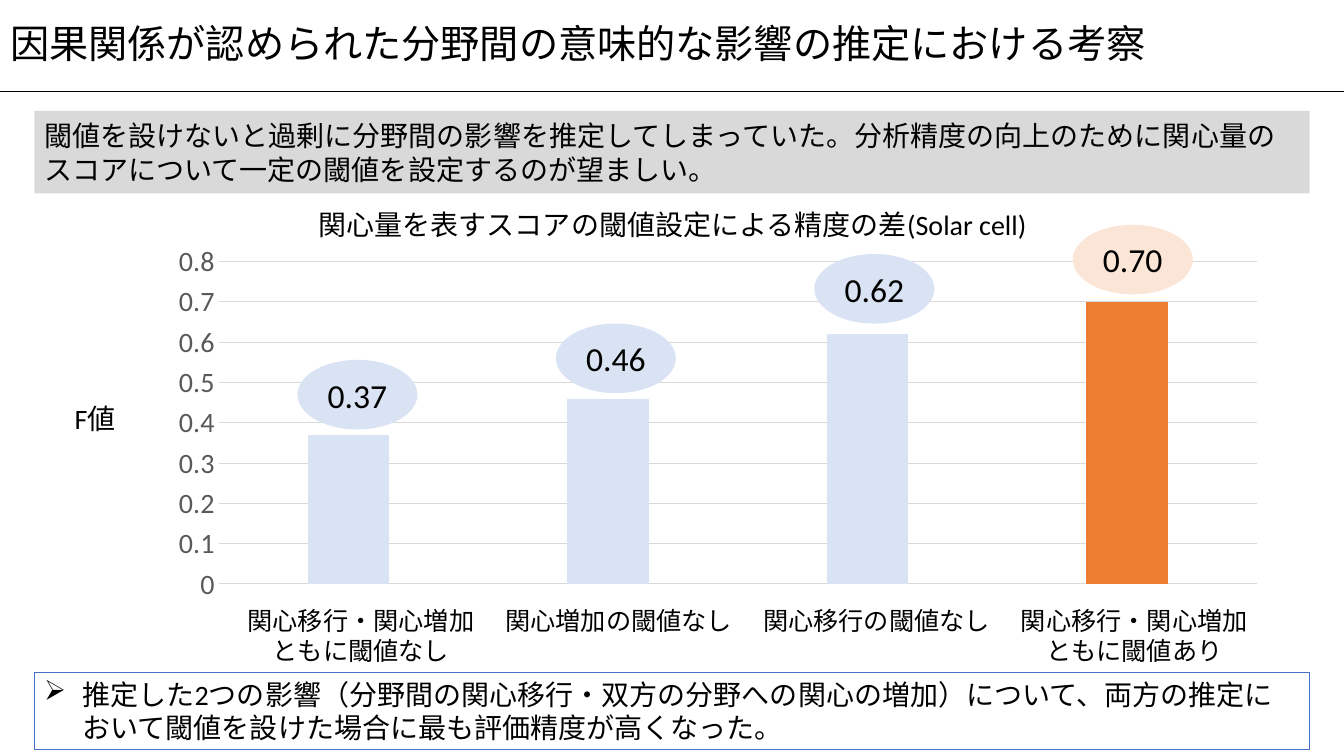
from lxml.etree import SubElement
from pptx import Presentation
from pptx.chart.data import CategoryChartData
from pptx.dml.color import RGBColor
from pptx.enum.chart import XL_CHART_TYPE, XL_TICK_MARK
from pptx.enum.shapes import MSO_CONNECTOR, MSO_SHAPE
from pptx.enum.text import MSO_ANCHOR, MSO_AUTO_SIZE, PP_ALIGN
from pptx.oxml.ns import qn
from pptx.util import Inches, Pt

W, H = 13.33, 7.5
FONT = "Calibri"
COLORS = {"text": "000000", "axis": "595959", "grey": "D9D9D9", "bar": "DAE3F3",
          "best": "ED7D31", "best_light": "FBE5D6", "border": "4472C4"}
RESULTS = [
    (0.37, 47.6, "関心移行・関心増加ともに閾値なし"),
    (0.46, 42.8, "関心増加の閾値なし"),
    (0.62, 33.6, "関心移行の閾値なし"),
    (0.70, 29.73, "関心移行・関心増加ともに閾値あり"),
]


def rgb(name):
    """Look up a colour by its name."""
    return RGBColor.from_string(COLORS[name])


def area(left, top, width, height):
    """Turn percentages of the slide into left, top, width and height."""
    return (Inches(W * left / 100), Inches(H * top / 100),
            Inches(W * width / 100), Inches(H * height / 100))


def set_font(font, size, color="text"):
    """Give a font its face, size and colour."""
    font.name, font.size = FONT, Pt(size)
    font.color.rgb = rgb(color)


def write(sp, text, size=20, align=PP_ALIGN.LEFT, anchor=MSO_ANCHOR.TOP,
          spacing=None, bullet=None):
    """Put one formatted paragraph into a shape."""
    tf = sp.text_frame
    tf.word_wrap, tf.auto_size = True, MSO_AUTO_SIZE.NONE
    tf.vertical_anchor = anchor
    p = tf.paragraphs[0]
    p.alignment, p.line_spacing = align, spacing
    if bullet:
        pPr = p._p.get_or_add_pPr()
        pPr.set("marL", str(Inches(0.38)))
        pPr.set("indent", str(Inches(-0.38)))
        SubElement(pPr, qn("a:buChar"), char=bullet)
    r = p.add_run()
    r.text = text
    set_font(r.font, size)


def add_label(s, box, text, **fmt):
    """Add a centred text box."""
    write(s.shapes.add_textbox(*area(*box)), text, align=PP_ALIGN.CENTER, **fmt)


def add_panel(s, kind, box, text, fill=None, line=None, **fmt):
    """Add a preset shape with text."""
    sp = s.shapes.add_shape(kind, *area(*box))
    sp.shadow.inherit = False
    if fill:
        sp.fill.solid()
        sp.fill.fore_color.rgb = rgb(fill)
    else:
        sp.fill.background()
    if line:
        sp.line.color.rgb, sp.line.width = rgb(line), Pt(0.75)
    else:
        sp.line.fill.background()
    write(sp, text, **fmt)


def add_title(s, text):
    """Fill the title placeholder and rule it off below."""
    title = s.shapes.title
    title.left, title.top, title.width, title.height = area(0, 0, 100, 12.13)
    write(title, text, size=28, anchor=MSO_ANCHOR.MIDDLE, spacing=0.9)
    x, y, width, _ = area(0, 12.13, 100, 0)
    rule = s.shapes.add_connector(MSO_CONNECTOR.STRAIGHT, x, y, width, y)
    rule.line.color.rgb, rule.line.width = rgb("text"), Pt(1)
    SubElement(rule._element.spPr, qn("a:effectLst"))


def add_score_chart(s, box):
    """Add the column chart with the best score highlighted."""
    data = CategoryChartData()
    data.categories = [str(i + 1) for i in range(len(RESULTS))]
    data.add_series("F値", [value for value, _, _ in RESULTS])
    chart = s.shapes.add_chart(XL_CHART_TYPE.COLUMN_CLUSTERED, *area(*box), data).chart
    chart.has_legend = chart.has_title = False
    set_font(chart.font, 10)
    chart.category_axis.visible = False
    axis = chart.value_axis
    axis.minimum_scale, axis.maximum_scale, axis.major_unit = 0, 0.8, 0.1
    axis.major_tick_mark = axis.minor_tick_mark = XL_TICK_MARK.NONE
    axis.format.line.fill.background()
    grid = axis.major_gridlines.format.line
    grid.color.rgb, grid.width = rgb("grey"), Pt(0.75)
    set_font(axis.tick_labels.font, 20, "axis")
    plot = chart.plots[0]
    plot.gap_width, plot.overlap, plot.vary_by_categories = 219, -27, False
    series = plot.series[0]
    for part, color in ((series, "bar"), (series.points[len(RESULTS) - 1], "best")):
        part.format.fill.solid()
        part.format.fill.fore_color.rgb = rgb(color)


def main():
    """Build the slide and save it."""
    prs = Presentation()
    prs.slide_width, prs.slide_height = Inches(W), Inches(H)
    s = prs.slides.add_slide(prs.slide_layouts[5])
    add_title(s, "因果関係が認められた分野間の意味的な影響の推定における考察")
    add_panel(s, MSO_SHAPE.RECTANGLE, (2.55, 14.67, 94.9, 10.93),
              "閾値を設けないと過剰に分野間の影響を推定してしまっていた。"
              "分析精度の向上のために関心量のスコアについて一定の閾値を設定するのが望ましい。",
              fill="grey", anchor=MSO_ANCHOR.MIDDLE)
    add_label(s, (6.38, 26.8, 87.32, 5.87),
              "関心量を表すスコアの閾値設定による精度の差(Solar cell)")
    add_label(s, (2.55, 52.4, 9.08, 5.87), "F値")
    add_score_chart(s, (11.63, 31.33, 83.57, 49.2))
    best = max(value for value, _, _ in RESULTS)
    for i, (value, top, name) in enumerate(RESULTS):
        add_label(s, (17.25 + 19.18 * i, 79.4, 19.2, 9.47), name, size=18)
        add_panel(s, MSO_SHAPE.OVAL, (22.13 + 19.23 * i, top, 8.93, 9.2),
                  f"{value:.2f}", fill="best_light" if value == best else "bar",
                  size=24, align=PP_ALIGN.CENTER, anchor=MSO_ANCHOR.MIDDLE)
    add_panel(s, MSO_SHAPE.RECTANGLE, (2.55, 88.93, 94.9, 10.27),
              "推定した2つの影響（分野間の関心移行・双方の分野への関心の増加）について、"
              "両方の推定において閾値を設けた場合に最も評価精度が高くなった。",
              line="border", bullet="➢")
    prs.save("out.pptx")


if __name__ == "__main__":
    main()
